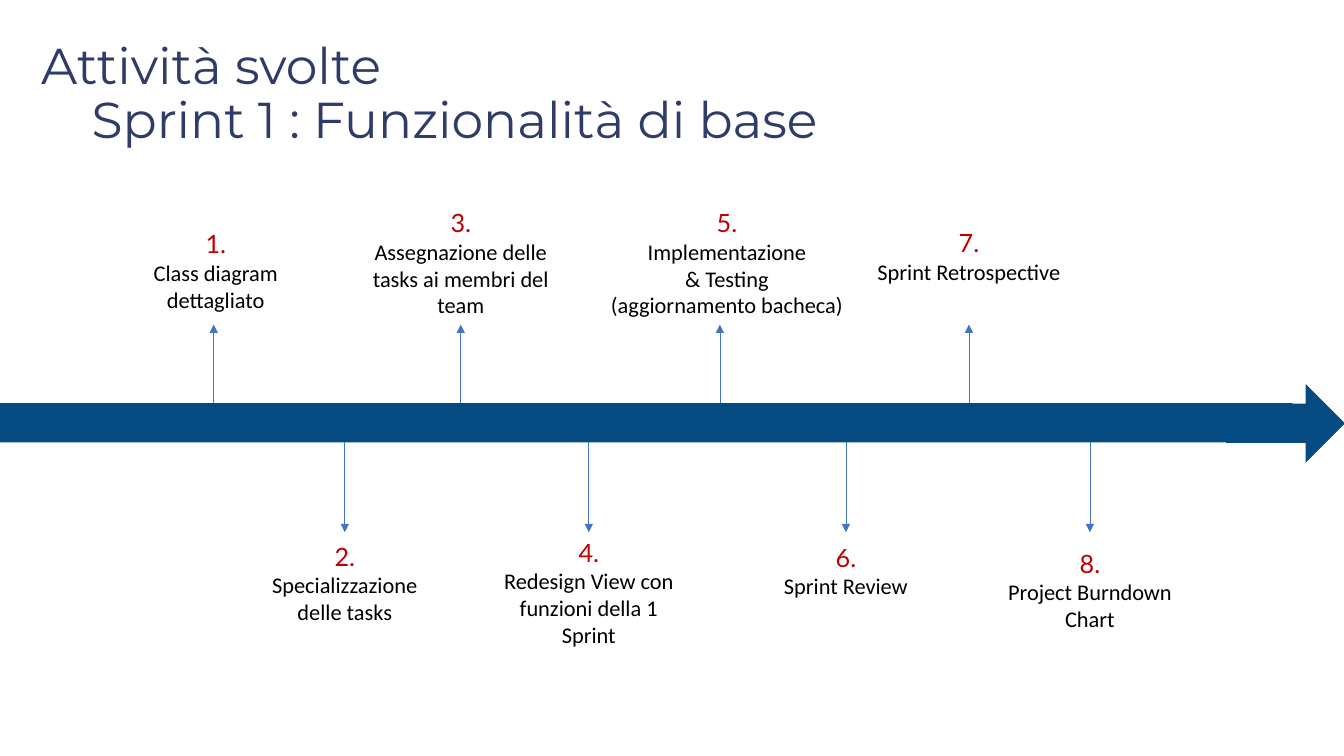
"""Build a timeline slide of the activities carried out in Sprint 1."""
from lxml import etree
from pptx import Presentation
from pptx.dml.color import RGBColor
from pptx.enum.shapes import MSO_CONNECTOR, MSO_SHAPE
from pptx.enum.text import MSO_ANCHOR, MSO_AUTO_SIZE, PP_ALIGN
from pptx.oxml.ns import qn
from pptx.util import Inches, Pt


def color(hex_string):
    return RGBColor.from_string(hex_string)


def style(paragraph, font_name, size, hex_string):
    paragraph.font.name = font_name
    paragraph.font.size = Pt(size)
    paragraph.font.color.rgb = color(hex_string)


presentation = Presentation()
presentation.slide_width = Inches(13.33)
presentation.slide_height = Inches(7.5)
slide = presentation.slides.add_slide(presentation.slide_layouts[6])

title = slide.shapes.add_textbox(Inches(0.31), Inches(0.22), Inches(9.31), Inches(1.45))
title.text_frame.word_wrap = True
title.text_frame.vertical_anchor = MSO_ANCHOR.MIDDLE
heading = title.text_frame.paragraphs[0]
heading.text = "Attività svolte\v\tSprint 1 : Funzionalità di base"
heading.line_spacing = 0.9
style(heading, "Montserrat", 36, "2F3B69")

for preset, left, top, width, height in [
    (MSO_SHAPE.RECTANGLE, 0, 4, 12.82, 0.39),
    (MSO_SHAPE.RIGHT_ARROW, 12.16, 3.81, 1.18, 0.78),
]:
    bar = slide.shapes.add_shape(preset, Inches(left), Inches(top), Inches(width), Inches(height))
    bar.shadow.inherit = False
    bar.fill.solid()
    bar.fill.fore_color.rgb = color("054B81")
    bar.line.fill.background()

# Activity text, arrow x, box left, top, width, height
activities = [
    ("Class diagram\vdettagliato", 2.12, 0.9, 2.22, 2.48, 0.94),
    ("Specializzazione\vdelle tasks", 3.42, 2.12, 5.32, 2.6, 0.94),
    ("Assegnazione delle tasks ai membri del team", 4.57, 3.53, 2.01, 2.08, 1.21),
    ("Redesign View con funzioni della 1 Sprint", 5.84, 4.8, 5.28, 2.08, 1.21),
    ("Implementazione\v& Testing\v(aggiornamento bacheca)", 7.14, 5.92, 2.01, 2.58, 1.21),
    ("Sprint Review", 8.39, 7.35, 5.33, 2.08, 0.67),
    ("Sprint Retrospective", 9.61, 8.57, 2.21, 2.08, 0.94),
    ("Project Burndown Chart", 10.81, 9.77, 5.39, 2.08, 0.94),
]
for number, (activity, arrow_x, left, top, width, height) in enumerate(activities, 1):
    box = slide.shapes.add_textbox(Inches(left), Inches(top), Inches(width), Inches(height))
    frame = box.text_frame
    frame.word_wrap = True
    frame.auto_size = MSO_AUTO_SIZE.SHAPE_TO_FIT_TEXT
    number_line, activity_line = frame.paragraphs[0], frame.add_paragraph()
    number_line.text = f"{number}."
    activity_line.text = activity
    style(number_line, "Lato", 18, "C00000")
    style(activity_line, "Calibri", 16, "000000")
    number_line.alignment = activity_line.alignment = PP_ALIGN.CENTER

    above = number % 2 == 1
    start_y, end_y = (4.2, 3.22) if above else (4.39, 5.28)
    arrow = slide.shapes.add_connector(
        MSO_CONNECTOR.STRAIGHT, Inches(arrow_x), Inches(start_y), Inches(arrow_x), Inches(end_y))
    arrow.line.color.rgb = color("4472C4")
    arrow.line.width = Pt(0.5)
    etree.SubElement(arrow.line._get_or_add_ln(), qn("a:tailEnd"), type="triangle")
    etree.SubElement(arrow._element.spPr, qn("a:effectLst"))
    box_edge = top + height if above else top
    if round(box_edge, 2) == end_y and round(left + width / 2, 2) == arrow_x:
        arrow.end_connect(box, 2 if above else 0)

    if above:
        slide.shapes._spTree.remove(arrow._element)
        slide.shapes._spTree.insert(2, arrow._element)

presentation.save("out.pptx")
